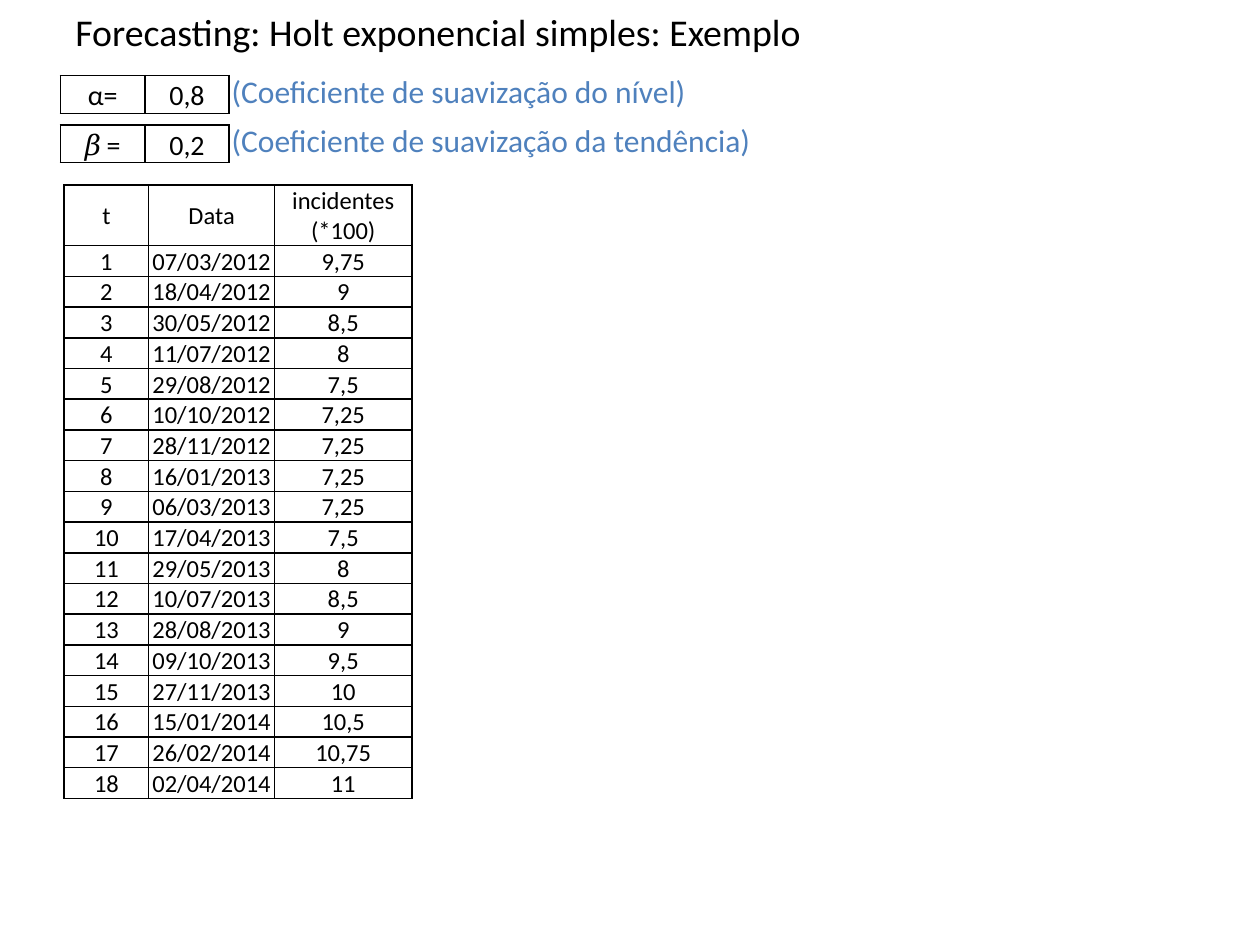
import pptx
import pptx.util
import pptx.dml.color
import pptx.enum.text
import pptx.oxml.ns
import lxml.etree

Inches, Pt = pptx.util.Inches, pptx.util.Pt
ANCHOR = pptx.enum.text.MSO_ANCHOR
ALIGN = pptx.enum.text.PP_ALIGN
BLACK = pptx.dml.color.RGBColor(0x00, 0x00, 0x00)
BLUE = pptx.dml.color.RGBColor(0x4F, 0x81, 0xBD)
BODY, SYMBOL = "Calibri", "Times New Roman"

TITLE = "Forecasting: Holt exponencial simples: Exemplo"
COEFFICIENTS = [
    ([("α=", BODY)], "0,8", "(Coeficiente de suavização do nível)"),
    ([("𝛽", SYMBOL), ("=", BODY)], "0,2", "(Coeficiente de suavização da tendência)"),
]
HEADER = ("t", "Data", "incidentes (*100)")
INCIDENTS = [
    ("07/03/2012", "9,75"), ("18/04/2012", "9"), ("30/05/2012", "8,5"),
    ("11/07/2012", "8"), ("29/08/2012", "7,5"), ("10/10/2012", "7,25"),
    ("28/11/2012", "7,25"), ("16/01/2013", "7,25"), ("06/03/2013", "7,25"),
    ("17/04/2013", "7,5"), ("29/05/2013", "8"), ("10/07/2013", "8,5"),
    ("28/08/2013", "9"), ("09/10/2013", "9,5"), ("27/11/2013", "10"),
    ("15/01/2014", "10,5"), ("26/02/2014", "10,75"), ("02/04/2014", "11"),
]

COEF_TOP, COEF_STEP, COEF_ROW = 0.6, 0.39, 0.3
COEF_COLS = [0.67, 0.67]
DATA_COLS = [0.67, 1, 1.09]
DATA_ROW = 0.24
CELL_FORMAT = dict(margin_left=Inches(0.01), margin_right=Inches(0.01),
                   margin_top=Inches(0.01), margin_bottom=0)


def apply(obj, values):
    for name, value in values.items():
        setattr(obj, name, value)


def add_run(p, text, size, color=BLACK, font=BODY):
    r = p.add_run()
    r.text = text
    apply(r.font, dict(size=Pt(size), name=font))
    r.font.color.rgb = color


def add_text(slide, box, text, size, color=BLACK, anchor=ANCHOR.TOP):
    tf = slide.shapes.add_textbox(*map(Inches, box)).text_frame
    apply(tf, dict(word_wrap=True, vertical_anchor=anchor))
    add_run(tf.paragraphs[0], text, size, color)


def add_borders(cell):
    tc_pr = cell._tc.get_or_add_tcPr()
    qn = pptx.oxml.ns.qn
    for side in ("lnL", "lnR", "lnT", "lnB"):
        ln = lxml.etree.SubElement(tc_pr, qn(f"a:{side}"), w=str(Pt(1)))
        fill = lxml.etree.SubElement(ln, qn("a:solidFill"))
        lxml.etree.SubElement(fill, qn("a:srgbClr"), val=str(BLACK))


def add_grid(slide, left, top, cols, heights, rows, size, header=False):
    box = map(Inches, (left, top, sum(cols), sum(heights)))
    table = slide.shapes.add_table(len(rows), len(cols), *box).table
    apply(table, dict(first_row=False, horz_banding=False))
    for column, width in zip(table.columns, cols):
        column.width = Inches(width)
    for i, (row, height) in enumerate(zip(rows, heights)):
        table.rows[i].height = Inches(height)
        for j, content in enumerate(row):
            cell = table.cell(i, j)
            apply(cell, CELL_FORMAT)
            cell.vertical_anchor = ANCHOR.MIDDLE if header and i == 0 else ANCHOR.BOTTOM
            add_borders(cell)
            cell.fill.background()
            p = cell.text_frame.paragraphs[0]
            p.alignment = ALIGN.CENTER
            runs = [(content, BODY)] if isinstance(content, str) else content
            for text, font in runs:
                add_run(p, text, size, font=font)


def main():
    prs = pptx.Presentation()
    apply(prs, dict(slide_width=Inches(10), slide_height=Inches(7.5)))
    slide = prs.slides.add_slide(prs.slide_layouts[6])
    add_text(slide, (0.5, 0.05, 9, 0.39), TITLE, 21.6, anchor=ANCHOR.MIDDLE)
    for i, (symbol, value, meaning) in enumerate(COEFFICIENTS):
        top = COEF_TOP + i * COEF_STEP
        add_grid(slide, 0.48, top, COEF_COLS, [COEF_ROW], [(symbol, value)], 16)
        add_text(slide, (1.74, top - 0.08, 7.28, 0.4), meaning, 18, BLUE)
    rows = [HEADER] + [(str(t), *entry) for t, entry in enumerate(INCIDENTS, 1)]
    heights = [2 * DATA_ROW] + [DATA_ROW] * len(INCIDENTS)
    add_grid(slide, 0.51, 1.47, DATA_COLS, heights, rows, 14, header=True)
    prs.save("out.pptx")


if __name__ == "__main__":
    main()
